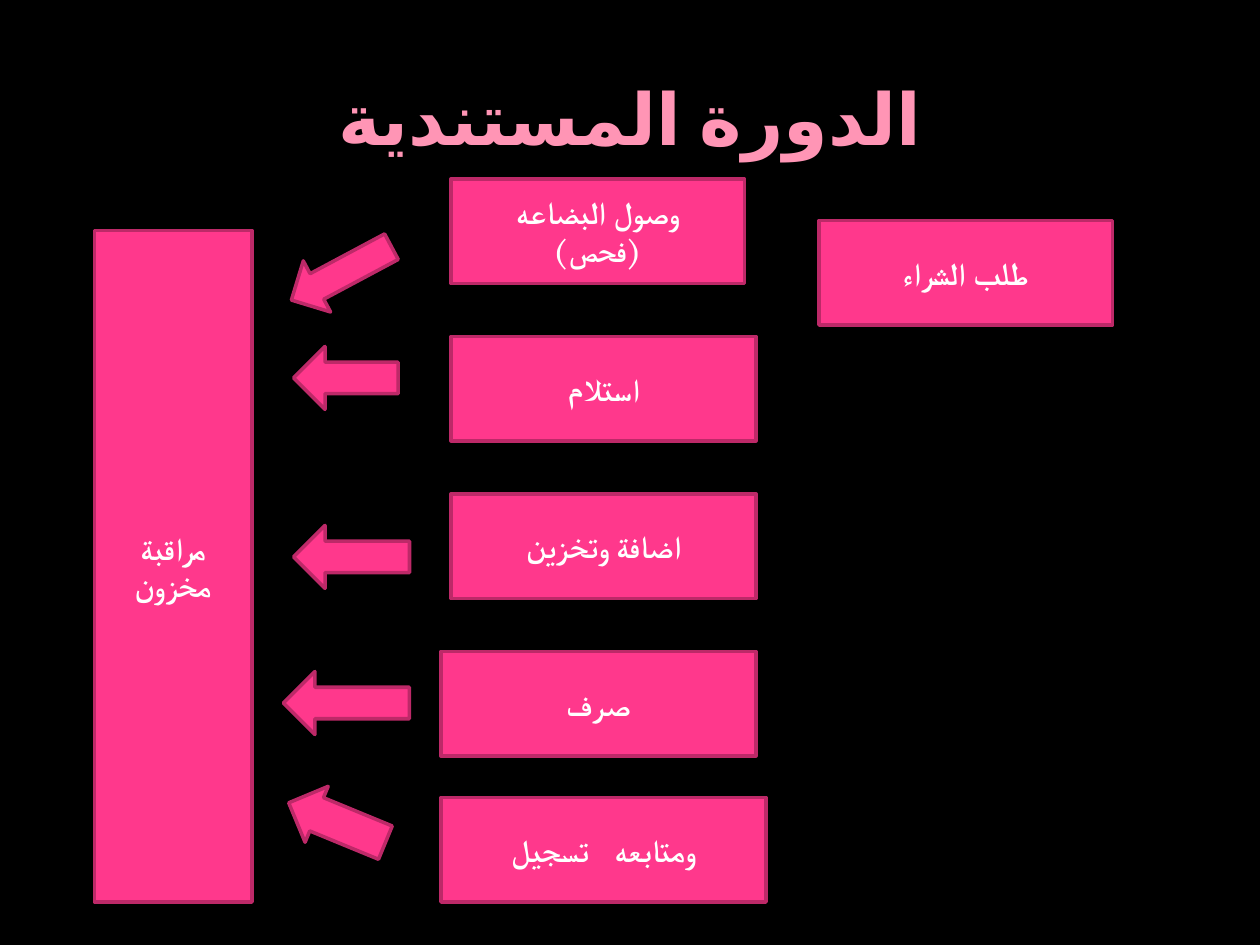
from lxml.etree import SubElement
from pptx import Presentation
from pptx.dml.color import RGBColor
from pptx.enum.lang import MSO_LANGUAGE_ID as Language
from pptx.enum.shapes import MSO_SHAPE as Preset
from pptx.enum.text import MSO_ANCHOR as Anchor, PP_ALIGN as Align
from pptx.oxml.ns import qn
from pptx.util import Inches, Pt

BLACK = RGBColor(0x00, 0x00, 0x00)
WHITE = RGBColor(0xFF, 0xFF, 0xFF)
PINK = RGBColor(0xFF, 0x38, 0x8C)
DARK_PINK = RGBColor(0xBD, 0x29, 0x68)
LIGHT_PINK = RGBColor(0xFF, 0x95, 0xB5)
TITLE_FONT, BODY_FONT = "Noto Sans", "TeX Gyre Pagella"
WORD_GAP = 1000  # extra width of a lone space, in hundredths of a point

# Content
TITLE = "الدورة المستندية"
STEP_HEIGHT = 0.83
# Each box: left, top, width, height, paragraphs made of runs
BOXES = [
    (6.5, 1.75, 2.33, STEP_HEIGHT, [["طلب الشراء"]]),
    (3.58, 1.42, 2.33, STEP_HEIGHT, [["وصول البضاعه"], ["(فحص)"]]),
    (0.75, 1.83, 1.25, 5.33, [["مراقبة مخزون"]]),
    (3.58, 2.67, 2.42, STEP_HEIGHT, [["استلام"]]),
    (3.58, 3.92, 2.42, STEP_HEIGHT, [["اضافة وتخزين"]]),
    (3.5, 5.17, 2.5, STEP_HEIGHT, [["صرف"]]),
    (3.5, 6.33, 2.58, STEP_HEIGHT, [["ومتابعه", " ", "تسجيل"]]),
]
# Each arrow: left, top, width, height, rotation, shaft thickness
ARROWS = [
    (2.26, 1.94, 0.9, 0.46, 331.9, 0.5),
    (2.33, 2.75, 0.83, 0.5, 0, 0.5),
    (2.33, 4.17, 0.92, 0.5, 0, 0.5),
    (2.25, 5.33, 1, 0.5, 0, 0.5),
    (2.26, 6.29, 0.83, 0.48, 22.4, 0.595),
]


def add_run(paragraph, text, font_name, size, color):
    run = paragraph.add_run()
    run.text = text
    run.font.name = font_name
    run.font.size = Pt(size)
    run.font.bold = True
    run.font.language_id = Language.ARABIC_EGYPT
    run.font.color.rgb = color
    properties = run.font._element
    SubElement(properties, qn("a:cs"), typeface=font_name)
    if text == " ":
        properties.set("spc", str(WORD_GAP))


def add_pink_shape(slide, preset, *bounds):
    shape = slide.shapes.add_shape(preset, *map(Inches, bounds))
    shape.shadow.inherit = False
    shape.fill.solid()
    shape.fill.fore_color.rgb = PINK
    shape.line.color.rgb = DARK_PINK
    shape.line.width = Pt(2)
    return shape


def add_box(slide, left, top, width, height, paragraphs):
    box = add_pink_shape(slide, Preset.RECTANGLE, left, top, width, height)
    frame = box.text_frame
    frame.word_wrap = True
    frame.vertical_anchor = Anchor.MIDDLE
    for index, runs in enumerate(paragraphs):
        paragraph = frame.add_paragraph() if index else frame.paragraphs[0]
        paragraph.alignment = Align.CENTER
        for text in runs:
            add_run(paragraph, text, BODY_FONT, 18, WHITE)


def add_arrow(slide, left, top, width, height, rotation, thickness):
    arrow = add_pink_shape(slide, Preset.LEFT_ARROW, left, top, width, height)
    arrow.rotation = rotation
    arrow.adjustments[0] = thickness


def add_title(slide):
    title = slide.shapes.title
    title.left, title.top = Inches(0.5), Inches(0.3)
    title.width, title.height = Inches(9), Inches(1.25)
    title.text_frame.vertical_anchor = Anchor.MIDDLE
    paragraph = title.text_frame.paragraphs[0]
    paragraph.alignment = Align.CENTER
    paragraph._p.get_or_add_pPr().set("rtl", "1")
    add_run(paragraph, TITLE, TITLE_FONT, 41, LIGHT_PINK)


def main():
    presentation = Presentation()
    presentation.slide_width, presentation.slide_height = Inches(10), Inches(7.5)
    slide = presentation.slides.add_slide(presentation.slide_layouts[5])
    slide.background.fill.solid()
    slide.background.fill.fore_color.rgb = BLACK

    add_title(slide)
    for box in BOXES:
        add_box(slide, *box)
    for arrow in ARROWS:
        add_arrow(slide, *arrow)

    presentation.save("out.pptx")


if __name__ == "__main__":
    main()
